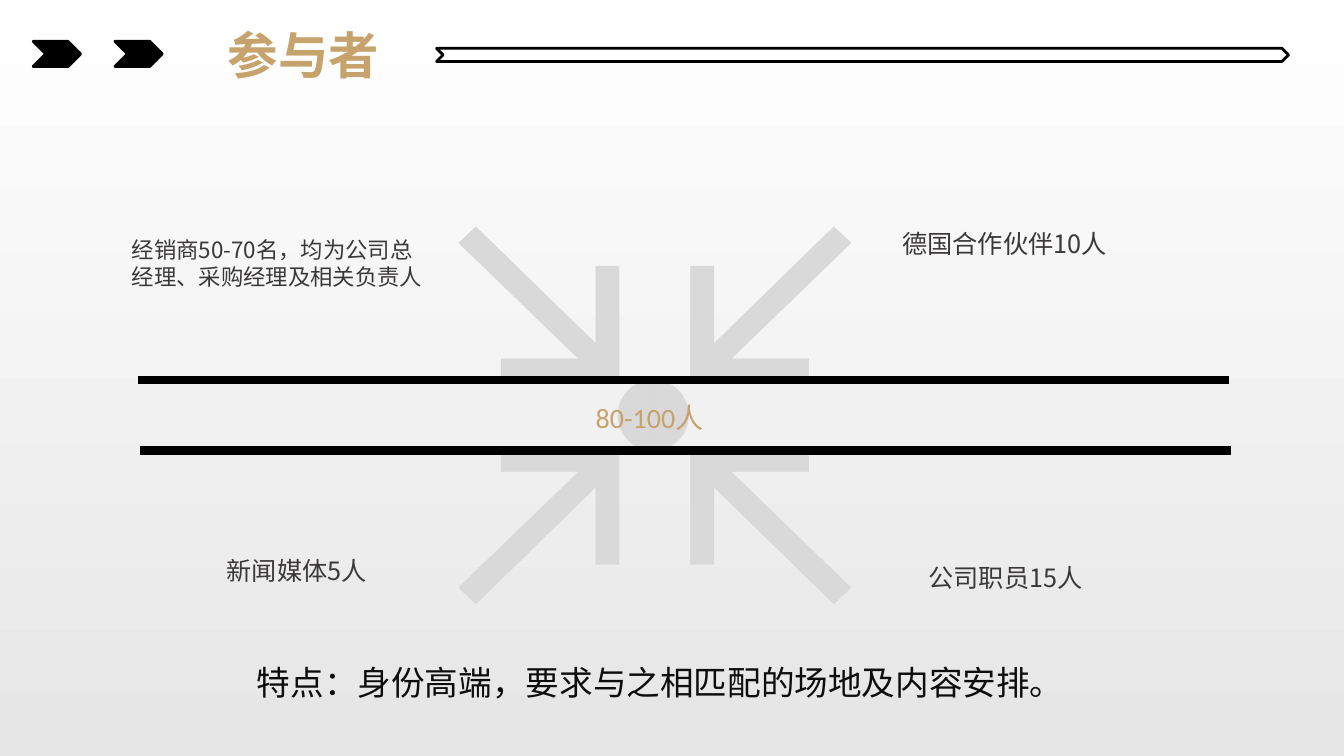
from dataclasses import dataclass

from lxml import etree
from pptx import Presentation
from pptx.dml.color import RGBColor
from pptx.enum import shapes, text
from pptx.oxml.ns import qn
from pptx.util import Inches, Pt


@dataclass(frozen=True)
class Theme:
    black: RGBColor = RGBColor(0, 0, 0)
    white: RGBColor = RGBColor(255, 255, 255)
    shade: RGBColor = RGBColor(0xE7, 0xE6, 0xE6)
    gold: RGBColor = RGBColor(0xC6, 0xA2, 0x6D)
    ink: RGBColor = RGBColor(0x0D, 0x0D, 0x0D)
    label: RGBColor = RGBColor(0x3B, 0x38, 0x38)
    arrow: RGBColor = RGBColor(0xD9, 0xD9, 0xD9)
    arrow_edge: RGBColor = RGBColor(0xD7, 0xD7, 0xD7)
    cjk: str = "Noto Sans CJK SC"
    latin: str = "Calibri"
    title_size: int = 36
    summary_size: int = 24
    total_size: int = 20
    label_size: int = 18
    small_size: int = 16


theme = Theme()


def paint(shape, fill, line, width):
    shape.shadow.inherit = False
    shape.fill.solid()
    shape.fill.fore_color.rgb = fill
    shape.line.color.rgb = line
    shape.line.width = Pt(width)


def write(box, words, size, color, font=theme.cjk, bold=False, wrap=True,
          align=text.PP_ALIGN.LEFT, grow=text.MSO_AUTO_SIZE.SHAPE_TO_FIT_TEXT):
    frame = box.text_frame
    frame_format = {"word_wrap": wrap, "auto_size": grow,
                    "vertical_anchor": text.MSO_ANCHOR.TOP}
    for name, value in frame_format.items():
        setattr(frame, name, value)
    paragraph = frame.paragraphs[0]
    paragraph.alignment = align
    run = paragraph.add_run()
    run.text = words
    for name, value in {"size": Pt(size), "bold": bold, "name": font}.items():
        setattr(run.font, name, value)
    run.font.color.rgb = color
    east_asian = etree.SubElement(run.font._element, qn("a:ea"))
    east_asian.set("typeface", theme.cjk)


deck = Presentation()
deck.slide_width, deck.slide_height = Inches(13.33), Inches(7.5)
slide = deck.slides.add_slide(deck.slide_layouts[5])

# Background: white fading down to grey
backdrop = slide.background.fill
backdrop.gradient()
backdrop.gradient_angle = 270
for stop, position, color in zip(backdrop.gradient_stops, (0, 1), (theme.white, theme.shade)):
    stop.position = position
    stop.color.rgb = color

# Heading with its chevrons
title = slide.shapes.title
title_place = {"left": 2.15, "top": 0.19, "width": 1.72, "height": 0.71}
for name, value in title_place.items():
    setattr(title, name, Inches(value))
write(title, "参与者", theme.title_size, theme.gold, bold=True, wrap=False,
      align=text.PP_ALIGN.CENTER, grow=text.MSO_AUTO_SIZE.NONE)

for left, top, width, height, fill in (
        (0.33, 0.41, 0.47, 0.25, theme.black),
        (1.14, 0.41, 0.47, 0.25, theme.black),
        (4.33, 0.48, 8.45, 0.13, theme.white)):
    chevron = slide.shapes.add_shape(shapes.MSO_SHAPE.CHEVRON, Inches(left), Inches(top),
                                     Inches(width), Inches(height))
    paint(chevron, fill, theme.black, 2)

# Four arrows: one outline mirrored around the hub, measured from the arrow's corner
hub_x, hub_y = 6.495, 4.12
corner_x, corner_y = 0.355, 0.35
arrow_outline = ((0, 0), (0, 1.13), (0.23, 1.13), (0.23, 0.36), (1.42, 1.52),
                 (1.59, 1.36), (0.4, 0.21), (1.17, 0.21), (1.17, 0))
for side_x, side_y in ((1, -1), (1, 1), (-1, 1), (-1, -1)):
    points = [(Inches(hub_x + side_x * (corner_x + x)), Inches(hub_y + side_y * (corner_y + y)))
              for x, y in arrow_outline]
    outline = slide.shapes.build_freeform(*points[0])
    outline.add_line_segments(points[1:], close=True)
    paint(outline.convert_to_shape(), theme.arrow, theme.arrow_edge, 0.25)

hub = slide.shapes.add_shape(shapes.MSO_SHAPE.FLOWCHART_OR, Inches(6.13), Inches(3.77),
                             Inches(0.7), Inches(0.7))
paint(hub, theme.arrow, theme.arrow_edge, 0.25)

# Groups of participants, the total and the summary
for left, top, width, height, words, size, color, options in (
        (1.21, 2.29, 3.16, 0.64, "经销商50-70名，均为公司总经理、采购经理及相关负责人",
         theme.small_size, theme.label, {}),
        (5.81, 3.92, 1.58, 0.44, "80-100人", theme.total_size, theme.gold,
         {"font": theme.latin}),
        (2.15, 5.46, 1.84, 0.41, "新闻媒体5人", theme.label_size, theme.label, {}),
        (8.85, 2.22, 2.37, 0.41, "德国合作伙伴10人", theme.label_size, theme.label, {}),
        (9.11, 5.53, 1.84, 0.41, "公司职员15人", theme.label_size, theme.label, {}),
        (2.45, 6.52, 8.28, 0.5, "特点：身份高端，要求与之相匹配的场地及内容安排。",
         theme.summary_size, theme.ink, {"wrap": False})):
    box = slide.shapes.add_textbox(Inches(left), Inches(top), Inches(width), Inches(height))
    write(box, words, size, color, **options)

# Bars above and below the total
for left, y in ((1.37, 3.77), (1.39, 4.47)):
    bar = slide.shapes.add_connector(shapes.MSO_CONNECTOR.STRAIGHT, Inches(left), Inches(y),
                                     Inches(left + 10.82), Inches(y))
    bar.line.color.rgb = theme.black
    bar.line.width = Pt(6)
    etree.SubElement(bar._element.spPr, qn("a:effectLst"))

deck.save("out.pptx")
